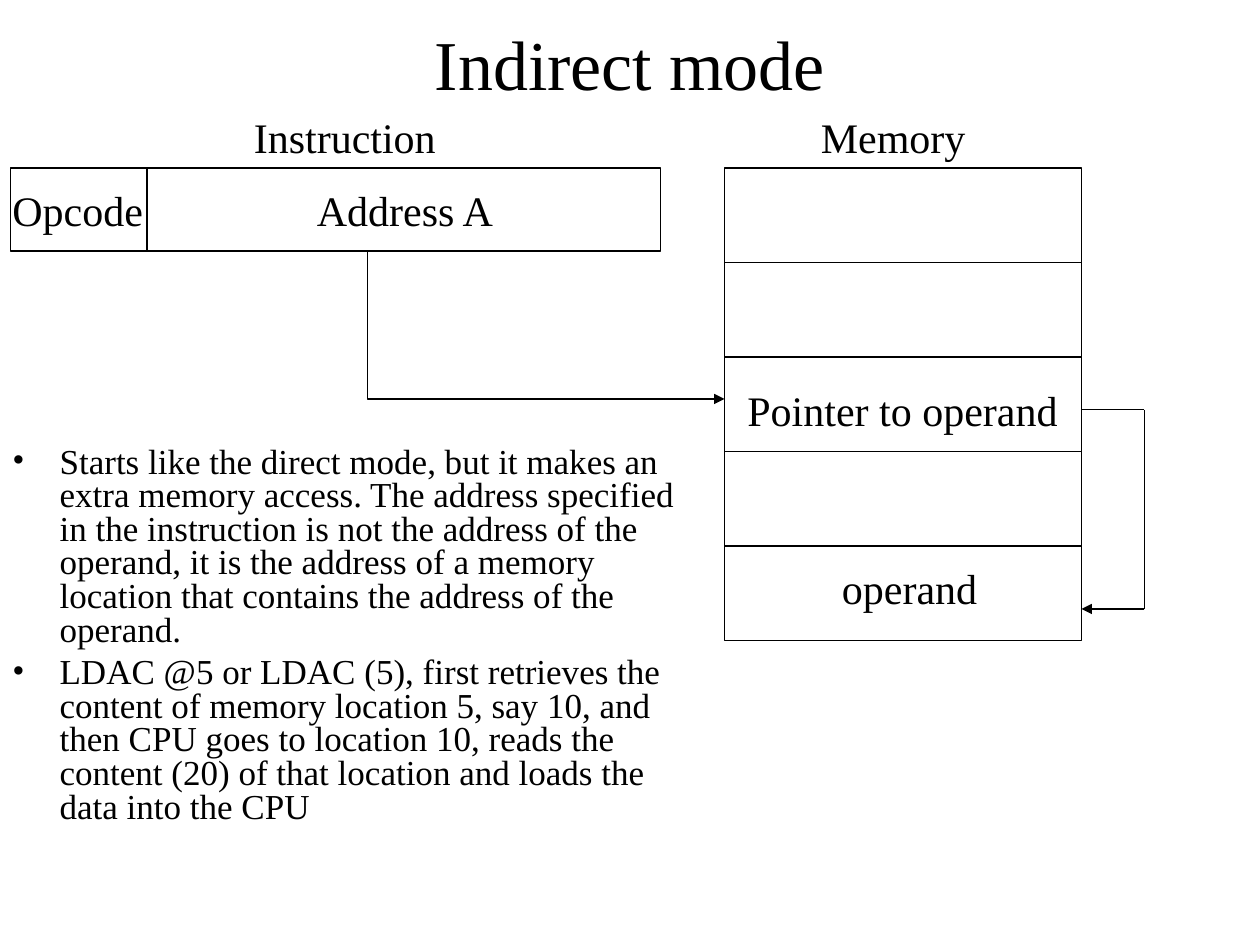
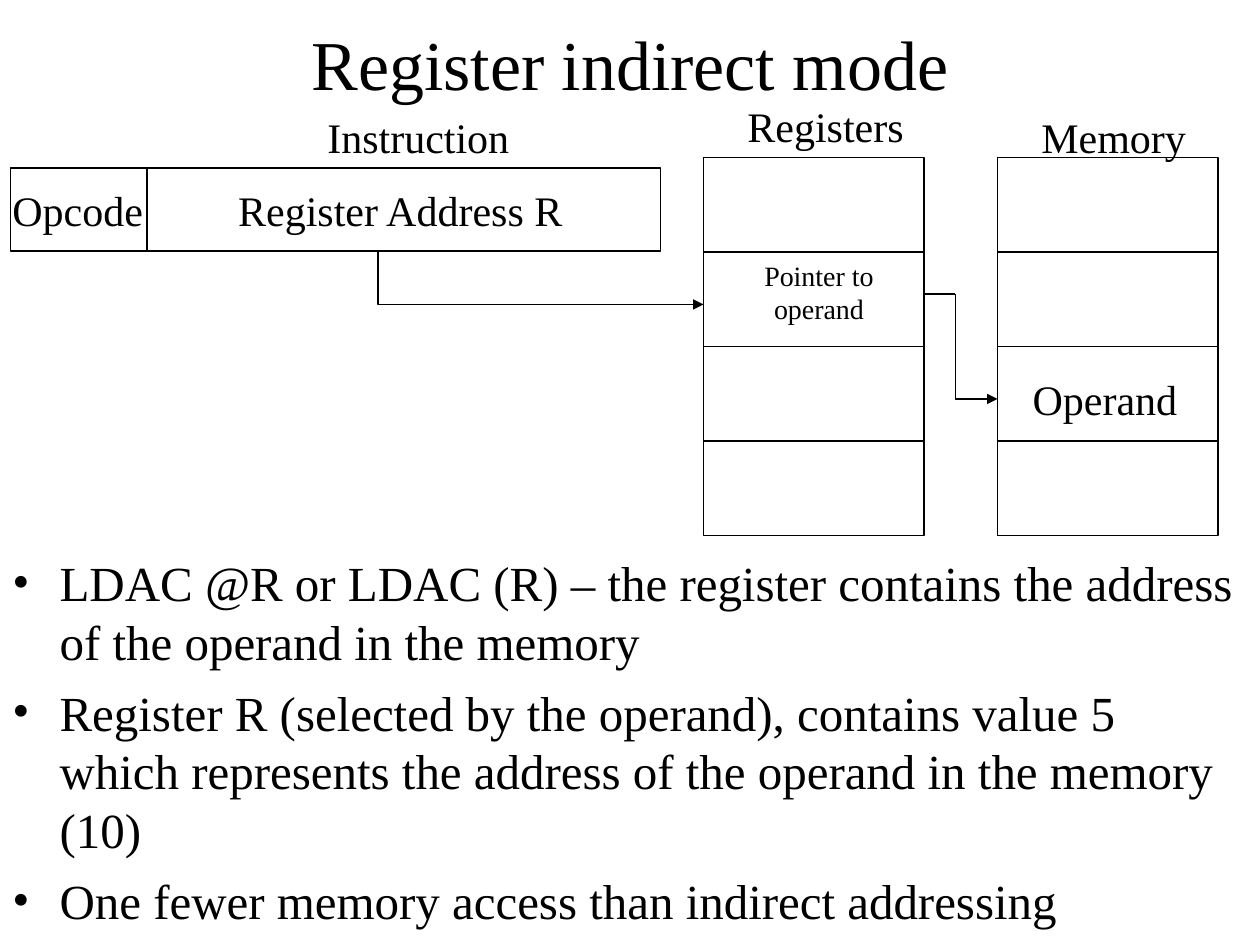
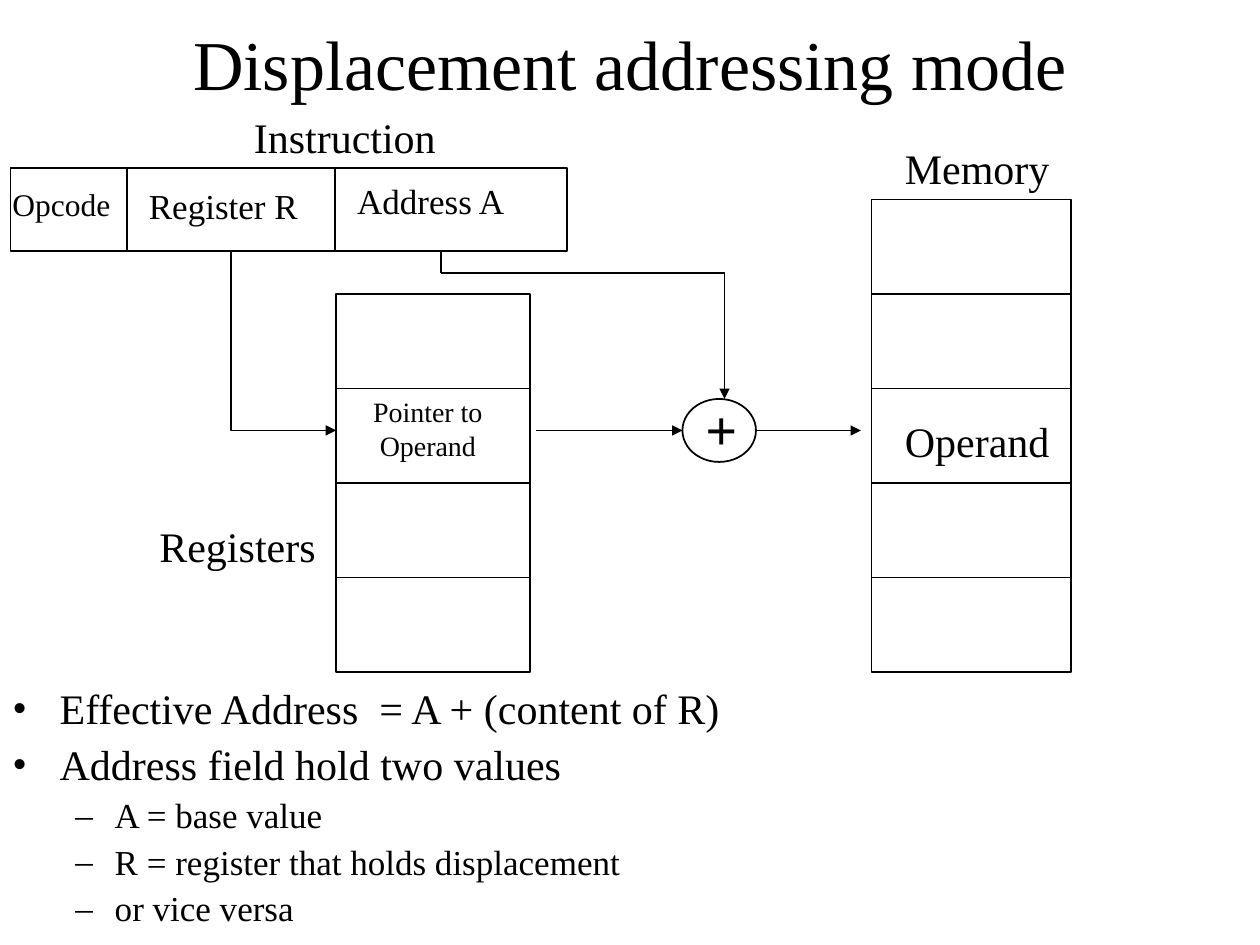
from dataclasses import dataclass
from itertools import pairwise

from lxml import etree
from pptx import Presentation
from pptx.dml.color import RGBColor
from pptx.enum.shapes import MSO_CONNECTOR, MSO_SHAPE
from pptx.enum.text import MSO_ANCHOR, PP_ALIGN
from pptx.oxml.ns import qn
from pptx.util import Pt

RECTANGLE = MSO_SHAPE.RECTANGLE
OVAL = MSO_SHAPE.OVAL
STRAIGHT = MSO_CONNECTOR.STRAIGHT
TOP, MIDDLE = MSO_ANCHOR.TOP, MSO_ANCHOR.MIDDLE
LEFT, CENTER = PP_ALIGN.LEFT, PP_ALIGN.CENTER


@dataclass(frozen=True)
class Theme:
    """Colours, type sizes and measures shared by the slides."""
    ink: RGBColor = RGBColor(0, 0, 0)
    paper: RGBColor = RGBColor(255, 255, 255)
    font: str = "Times New Roman"
    title: int = 40
    label: int = 24
    field: int = 20
    opcode: int = 18
    pointer: int = 16
    plus: int = 32
    outline: float = 1
    arrow: float = 0.75
    cell_height: int = 54
    bar_left: int = 6
    bar_top: int = 96
    bar_height: float = 47.5


THEME = Theme()


def write(frame, text, size=THEME.label, bold=False, align=LEFT, anchor=TOP, wrap=False):
    """Fill a text frame with one paragraph per line of text."""
    frame.word_wrap = wrap
    frame.vertical_anchor = anchor
    for index, line in enumerate(text.split("\n")):
        paragraph = frame.paragraphs[0] if index == 0 else frame.add_paragraph()
        paragraph.alignment = align
        run = paragraph.add_run()
        run.text = line
        run.font.name = THEME.font
        run.font.size = Pt(size)
        run.font.bold = bold
        run.font.color.rgb = THEME.ink


def add_label(slide, text, left, top, width, size=THEME.label, **style):
    """Place a text label whose height follows its lines."""
    height = 7.2 + 1.2 * size * len(text.split("\n"))
    label = slide.shapes.add_textbox(Pt(left), Pt(top), Pt(width), Pt(height))
    write(label.text_frame, text, size=size, **style)


def add_titled_slide(deck, title):
    """Add a title-only slide with the title across the top."""
    slide = deck.slides.add_slide(deck.slide_layouts[5])
    slide.background.fill.solid()
    slide.background.fill.fore_color.rgb = THEME.paper
    heading = slide.shapes.title
    heading.left, heading.top, heading.width, heading.height = 0, 0, deck.slide_width, Pt(72)
    write(heading.text_frame, title, size=THEME.title, align=CENTER, anchor=MIDDLE, wrap=True)
    return slide


def add_bullets(slide, items, top, width, height, sizes, spacing=1.0, gaps=(5, 5)):
    """Add a bullet list of (level, text) items."""
    box = slide.shapes.add_textbox(0, Pt(top), Pt(width), Pt(height))
    write(box.text_frame, "\n".join(text for _, text in items), wrap=True)
    marks = (("•", 27, 27), ("–", 58.5, 22.5))
    for index, (level, _) in enumerate(items):
        paragraph = box.text_frame.paragraphs[index]
        mark, margin, hang = marks[level]
        paragraph.level = level
        paragraph.line_spacing = spacing
        if index:
            paragraph.space_before = Pt(gaps[level])
        properties = paragraph._p.get_or_add_pPr()
        properties.set("marL", str(Pt(margin)))
        properties.set("indent", str(-Pt(hang)))
        etree.SubElement(properties, qn("a:buFont")).set("typeface", THEME.font)
        etree.SubElement(properties, qn("a:buChar")).set("char", mark)
        paragraph.runs[0].font.size = Pt(sizes[level])


def draw_line(shape, width, arrow=False):
    """Ink the line of a shape and add an arrowhead on request."""
    shape.line.color.rgb = THEME.ink
    shape.line.width = Pt(width)
    if arrow:
        line = shape.line._get_or_add_ln()
        etree.SubElement(line, qn("a:tailEnd")).set("type", "triangle")


def add_outline(shapes, kind, left, top, width, height):
    """Add an unfilled outlined shape."""
    outline = shapes.add_shape(kind, Pt(left), Pt(top), Pt(width), Pt(height))
    outline.shadow.inherit = False
    outline.fill.background()
    draw_line(outline, THEME.outline)


def add_segment(shapes, start, end, width=THEME.arrow, arrow=False):
    """Add a straight line between two points."""
    segment = shapes.add_connector(STRAIGHT, *(Pt(value) for value in (*start, *end)))
    etree.SubElement(segment._element.spPr, qn("a:effectLst"))
    draw_line(segment, width, arrow)


def add_route(slide, *points):
    """Join points with straight lines, ending in an arrowhead."""
    for start, end in pairwise(points):
        add_segment(slide.shapes, start, end, arrow=end == points[-1])


def add_elbow(slide, start, end):
    """Add a one-piece arrow that goes down and then right."""
    builder = slide.shapes.build_freeform(Pt(start[0]), Pt(start[1]))
    corners = [(start[0], end[1]), end]
    builder.add_line_segments([(Pt(x), Pt(y)) for x, y in corners], close=False)
    elbow = builder.convert_to_shape()
    elbow.shadow.inherit = False
    elbow.fill.background()
    draw_line(elbow, THEME.outline, arrow=True)


def add_instruction(slide, width, dividers, heading_left):
    """Add the instruction bar, its field dividers and its heading."""
    bar = slide.shapes.add_group_shape()
    add_outline(bar.shapes, RECTANGLE, THEME.bar_left, THEME.bar_top, width, THEME.bar_height)
    bottom = THEME.bar_top + THEME.bar_height
    for x in dividers:
        add_segment(bar.shapes, (x, THEME.bar_top), (x, bottom), THEME.outline)
    add_label(slide, "Instruction", heading_left, 60, 121)


def add_cells(slide, left, top, width, count):
    """Stack equal storage cells."""
    for row in range(count):
        add_outline(slide.shapes, RECTANGLE, left, top + row * THEME.cell_height,
                    width, THEME.cell_height)


def build_indirect(deck):
    """Build the indirect mode slide."""
    slide = add_titled_slide(deck, "Indirect mode")
    add_bullets(slide, [
        (0, "Starts like the direct mode, but it makes an extra memory access. "
            "The address specified in the instruction is not the address of the operand, "
            "it is the address of a memory location that contains the address of the operand."),
        (0, "LDAC @5 or LDAC (5), first retrieves the content of memory location 5, say 10, "
            "and then CPU goes to location 10, reads the content (20) of that location "
            "and loads the data into the CPU"),
    ], 252, 396, 264, sizes=(20,), spacing=0.8)
    add_instruction(slide, 371.5, [84], 138)
    add_label(slide, "Address A", 174, 102, 119)
    add_label(slide, "Opcode", 0, 102, 92)
    add_cells(slide, 414, 96, 204, 5)
    add_label(slide, "Memory", 462, 60, 100)
    add_label(slide, "Pointer to operand", 420, 216, 195)
    add_label(slide, "operand", 474, 318, 95)
    add_elbow(slide, (210, 144), (414, 228))
    add_route(slide, (618, 234), (654, 234), (654, 348), (618, 348))


def build_register_indirect(deck):
    """Build the register indirect mode slide."""
    slide = add_titled_slide(deck, "Register indirect mode")
    add_bullets(slide, [
        (0, "LDAC @R or LDAC (R) – the register contains the address of the operand "
            "in the memory"),
        (0, "Register R (selected by the operand), contains value 5 which represents "
            "the address of the operand in the memory (10)"),
        (0, "One fewer memory access than indirect addressing"),
    ], 312, 717, 228, sizes=(28,), gaps=(7,))
    add_instruction(slide, 371.5, [84], 180)
    add_label(slide, "Register Address R", 129, 102, 204)
    add_label(slide, "Opcode", 0, 102, 92)
    for left in (402, 570):
        add_cells(slide, left, 90, 126, 4)
    add_label(slide, "Memory", 588, 60, 100)
    add_label(slide, "Operand", 583, 210, 100)
    add_label(slide, "Registers", 420, 54, 107)
    add_label(slide, "Pointer to\noperand", 408, 144, 120, THEME.pointer, align=CENTER, wrap=True)
    add_elbow(slide, (216, 144), (402, 174))
    add_route(slide, (528, 168), (546, 168), (546, 228), (570, 228))


def build_displacement(deck):
    """Build the displacement addressing mode slide."""
    slide = add_titled_slide(deck, "Displacement addressing mode")
    add_bullets(slide, [
        (0, "Effective Address  = A + (content of R)"),
        (0, "Address field hold two values"),
        (1, "A = base value"),
        (1, "R = register that holds displacement"),
        (1, "or vice versa"),
    ], 390, 720, 150, sizes=(24, 20), spacing=0.9, gaps=(6, 5))
    add_instruction(slide, 318, [72.75, 191.5], 138)
    add_label(slide, "Register R", 78, 102, 103, THEME.field)
    add_label(slide, "Opcode", 0, 102, 74, THEME.opcode)
    add_label(slide, "Address A", 197, 99, 102, THEME.field)
    add_cells(slide, 498, 114, 114, 5)
    add_label(slide, "Memory", 510, 78, 100)
    add_label(slide, "Operand", 510, 234, 100)
    add_cells(slide, 192, 168, 111, 4)
    add_label(slide, "Pointer to\nOperand", 204, 222, 81, THEME.pointer, align=CENTER)
    add_label(slide, "Registers", 84, 294, 107)
    add_elbow(slide, (132, 144), (192, 246))
    add_outline(slide.shapes, OVAL, 390, 228, 42, 36)
    add_label(slide, "+", 396, 222, 35, THEME.plus, bold=True)
    add_route(slide, (306, 246), (390, 246))
    add_route(slide, (432, 246), (492, 246))
    add_route(slide, (252, 144), (252, 156), (414, 156), (414, 228))


def main():
    """Build and save the deck."""
    deck = Presentation()
    deck.slide_width, deck.slide_height = Pt(720), Pt(540)
    build_indirect(deck)
    build_register_indirect(deck)
    build_displacement(deck)
    deck.save("out.pptx")


if __name__ == "__main__":
    main()
